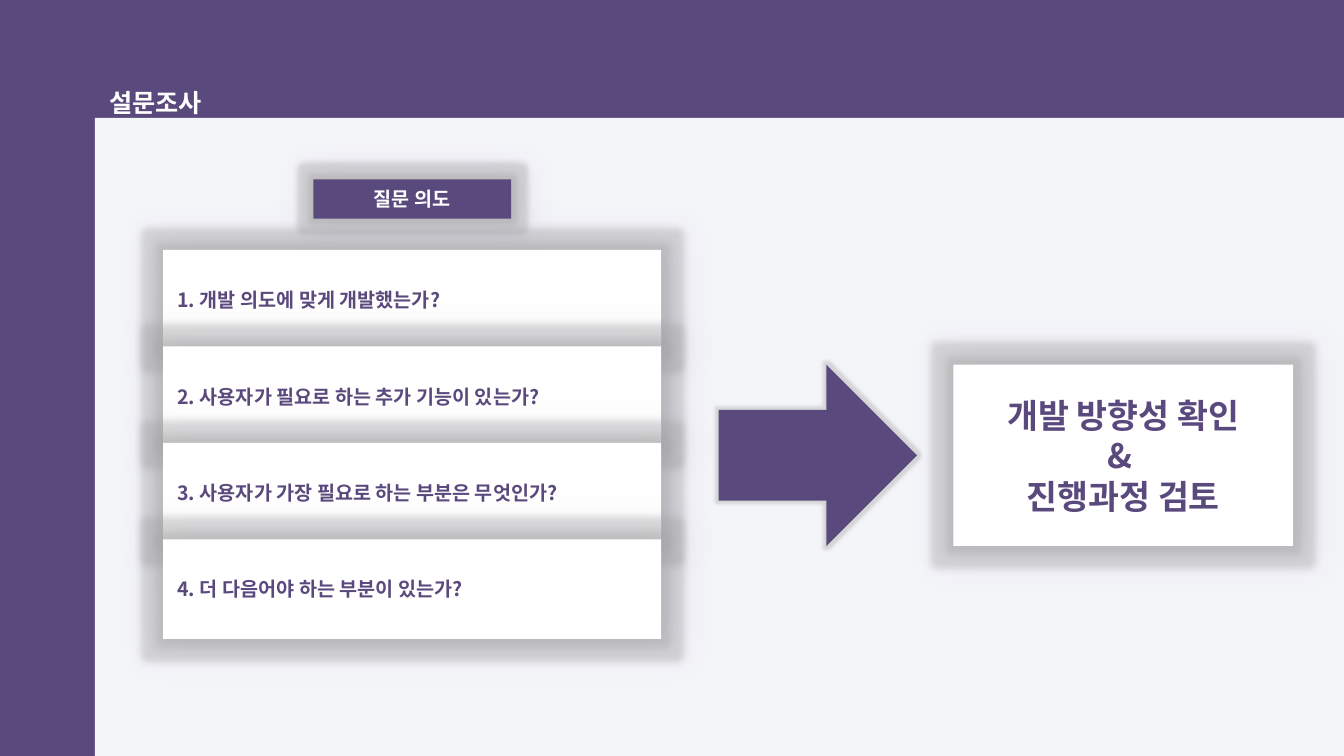
from dataclasses import dataclass

from lxml.etree import SubElement
from pptx import Presentation
from pptx.dml.color import RGBColor
from pptx.enum.shapes import MSO_SHAPE
from pptx.enum.text import MSO_ANCHOR, MSO_AUTO_SIZE, PP_ALIGN
from pptx.oxml.ns import qn
from pptx.shapes.autoshape import Shape
from pptx.slide import Slide
from pptx.text.text import TextFrame
from pptx.util import Cm, Pt

PURPLE = "5A497D"
WHITE = "FFFFFF"
PALE = "F4F5F9"
GREY = "A5A5A5"
FONT = "Noto Sans CJK KR"


@dataclass(frozen=True)
class Block:
    left: float
    top: float
    width: float
    height: float
    fill: str
    lines: tuple[str, ...] = ()
    size: int = 14
    color: str = PURPLE
    align: PP_ALIGN = PP_ALIGN.CENTER
    geometry: MSO_SHAPE = MSO_SHAPE.RECTANGLE
    glow: int = 0
    shadow: bool = False


QUESTIONS = (
    "개발 의도에 맞게 개발했는가?",
    "사용자가 필요로 하는 추가 기능이 있는가?",
    "사용자가 가장 필요로 하는 부분은 무엇인가?",
    "더 다음어야 하는 부분이 있는가?",
)
QUESTION_TOP = 6.3
QUESTION_PITCH = 2.43

PANEL = Block(2.39, 2.97, 31.48, 16.08, PALE)
QUESTION_ROWS = tuple(
    Block(4.11, QUESTION_TOP + index * QUESTION_PITCH, 12.55, 2.51, WHITE,
          (f" {index + 1}. {question}",), align=PP_ALIGN.LEFT, glow=11, shadow=True)
    for index, question in enumerate(QUESTIONS)
)
ARROW = Block(18.11, 9.19, 5, 4.57, PURPLE, geometry=MSO_SHAPE.RIGHT_ARROW, glow=5)
CONCLUSION = Block(24.03, 9.19, 8.56, 4.57, WHITE,
                   ("개발 방향성 확인", "& ", "진행과정 검토"), size=24, glow=11, shadow=True)
INTENT_LABEL = Block(7.9, 4.52, 4.98, 0.99, PURPLE, ("질문 의도",),
                     color=WHITE, glow=8, shadow=True)


def rgb(color: str) -> RGBColor:
    return RGBColor.from_string(color)


def write_lines(frame: TextFrame, lines: tuple[str, ...], size: int, color: str,
                align: PP_ALIGN, spacing: float = 1.0) -> None:
    for index, line in enumerate(lines):
        paragraph = frame.add_paragraph() if index else frame.paragraphs[0]
        paragraph.alignment = align
        paragraph.line_spacing = spacing
        run = paragraph.add_run()
        run.text = line
        run.font.name = FONT
        run.font.size = Pt(size)
        run.font.bold = True
        run.font.color.rgb = rgb(color)
        SubElement(run.font._element, qn("a:ea"), typeface=FONT)


def add_effect(shape: Shape, tag: str, color: str, alpha: int, **settings: str) -> None:
    effects = shape._element.spPr.find(qn("a:effectLst"))
    effect = SubElement(effects, qn(tag), **settings)
    tint = SubElement(effect, qn("a:srgbClr"), val=color)
    SubElement(tint, qn("a:alpha"), val=str(alpha * 1000))


def add_block(slide: Slide, block: Block) -> None:
    shape = slide.shapes.add_shape(block.geometry, Cm(block.left), Cm(block.top),
                                   Cm(block.width), Cm(block.height))
    shape.fill.solid()
    shape.fill.fore_color.rgb = rgb(block.fill)
    shape.line.fill.background()
    shape.shadow.inherit = False
    if block.glow:
        add_effect(shape, "a:glow", GREY, 40, rad=str(Pt(block.glow)))
    if block.shadow:
        add_effect(shape, "a:outerShdw", PURPLE, 17, blurRad=str(Pt(23)),
                   dist=str(Pt(3)), dir="0", algn="ctr", rotWithShape="0")
    shape.text_frame.word_wrap = True
    shape.text_frame.vertical_anchor = MSO_ANCHOR.MIDDLE
    write_lines(shape.text_frame, block.lines, block.size, block.color, block.align)


def add_title(slide: Slide) -> None:
    title = slide.shapes.add_textbox(Cm(2.39), Cm(1.7), Cm(3.07), Cm(1.27))
    title.text_frame.word_wrap = False
    title.text_frame.auto_size = MSO_AUTO_SIZE.SHAPE_TO_FIT_TEXT
    write_lines(title.text_frame, ("설문조사",), 18, WHITE, PP_ALIGN.CENTER, 1.5)


def main() -> None:
    presentation = Presentation()
    presentation.slide_width = Cm(33.87)
    presentation.slide_height = Cm(19.05)
    slide = presentation.slides.add_slide(presentation.slide_layouts[6])
    slide.background.fill.solid()
    slide.background.fill.fore_color.rgb = rgb(PURPLE)
    add_block(slide, PANEL)
    add_title(slide)
    for block in (*QUESTION_ROWS, ARROW, CONCLUSION, INTENT_LABEL):
        add_block(slide, block)
    presentation.save("out.pptx")


if __name__ == "__main__":
    main()
